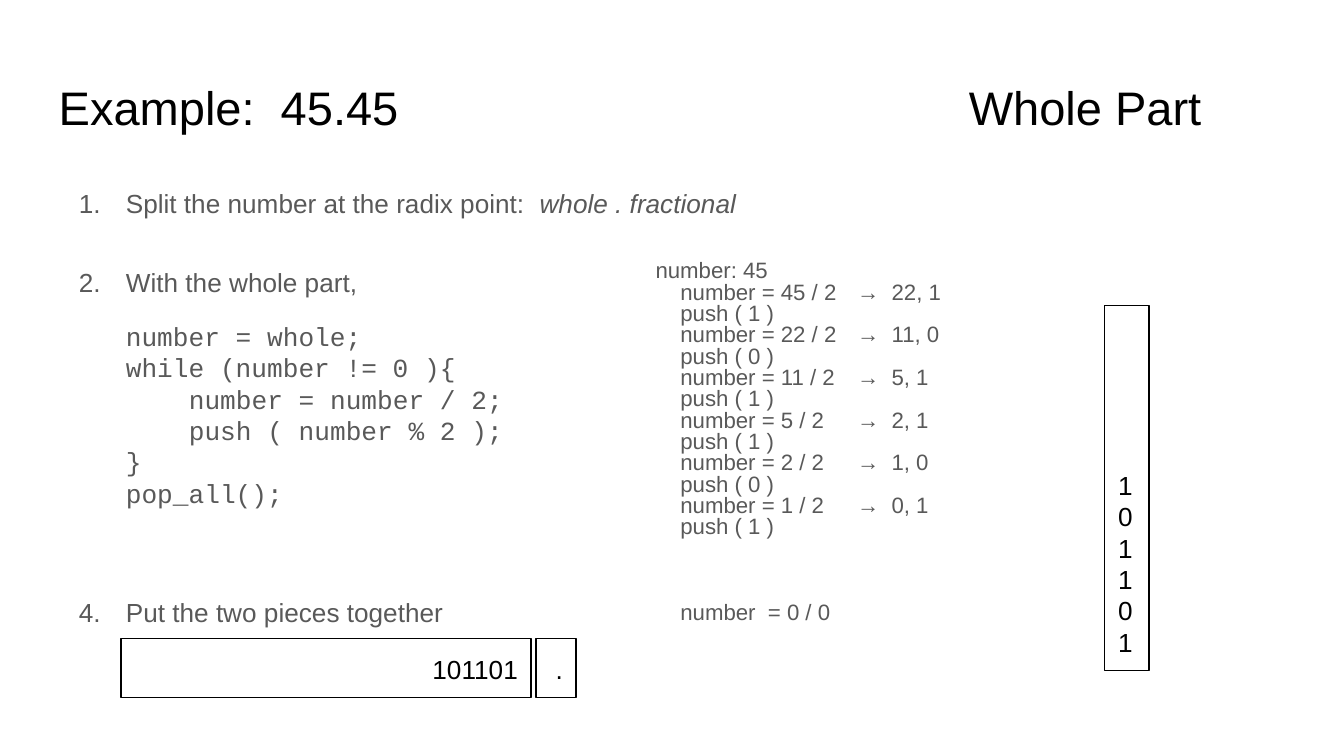
from dataclasses import dataclass

from lxml import etree
from pptx import Presentation
from pptx.dml.color import RGBColor
from pptx.enum.shapes import MSO_SHAPE
from pptx.enum.text import MSO_ANCHOR, PP_ALIGN
from pptx.oxml.ns import qn
from pptx.util import Cm, Pt

RECTANGLE = MSO_SHAPE.RECTANGLE
TOP, BOTTOM = MSO_ANCHOR.TOP, MSO_ANCHOR.BOTTOM
LEFT, RIGHT = PP_ALIGN.LEFT, PP_ALIGN.RIGHT


@dataclass(frozen=True)
class Theme:
    black: RGBColor = RGBColor(0x00, 0x00, 0x00)
    gray: RGBColor = RGBColor(0x59, 0x59, 0x59)
    sans: str = "Arial"
    mono: str = "Courier New"
    title: float = 25.2
    body: float = 14
    trace: float = 11.9
    outline: float = 0.75


THEME = Theme()


def apply_format(target, values):
    for name, value in values.items():
        setattr(target, name, value)


def format_frame(frame, anchor=TOP):
    margins = ("margin_left", "margin_top", "margin_right", "margin_bottom")
    apply_format(frame, {"word_wrap": True, "vertical_anchor": anchor})
    apply_format(frame, dict.fromkeys(margins, Cm(0.25)))


def add_text_box(page, left, top, width, height):
    box = page.shapes.add_textbox(Cm(left), Cm(top), Cm(width), Cm(height))
    format_frame(box.text_frame)
    return box.text_frame


def add_para(frame, **values):
    para = frame.paragraphs[0]
    if para.runs:
        para = frame.add_paragraph()
    apply_format(para, values)
    return para


def add_span(para, text, size, color=THEME.gray, name=THEME.sans, italic=False):
    span = para.add_run()
    span.text = text
    apply_format(span.font, {"size": Pt(size), "name": name, "italic": italic})
    span.font.color.rgb = color


def set_indent(para, left, first):
    properties = para._p.get_or_add_pPr()
    properties.set("marL", str(Cm(left)))
    properties.set("indent", str(Cm(first)))


def set_tab(para, position):
    tabs = etree.SubElement(para._p.get_or_add_pPr(), qn("a:tabLst"))
    etree.SubElement(tabs, qn("a:tab"), pos=str(Cm(position)), algn="l")


def add_step(frame, number, text, space_before=0):
    para = add_para(frame, line_spacing=1.15, space_before=Pt(space_before))
    set_indent(para, 1.27, -0.89)
    etree.SubElement(para._p.get_or_add_pPr(), qn("a:buAutoNum"),
                     type="arabicPeriod", startAt=str(number))
    add_span(para, text, THEME.body)
    return para


def add_code(frame, lines):
    for index, (depth, text) in enumerate(lines):
        para = add_para(frame, space_before=Pt(0 if index else 12))
        set_indent(para, 1.27, depth * 1.19)
        add_span(para, text, THEME.body, name=THEME.mono)


def add_trace_line(frame, text, indent=0.47, space_before=0):
    para = add_para(frame, line_spacing=0.8, space_before=Pt(space_before))
    set_indent(para, 0, indent)
    set_tab(para, 5.08)
    add_span(para, text, THEME.trace)


def add_trace(frame, number):
    add_trace_line(frame, f"number: {number}", indent=0)
    while number:
        quotient, remainder = divmod(number, 2)
        add_trace_line(frame, f"number = {number} / 2\t→  {quotient}, {remainder}")
        add_trace_line(frame, f"push ( {remainder} )")
        number = quotient
    add_trace_line(frame, "number  = 0 / 0", space_before=34.4)


def add_cell(page, text, left, top, width, height, alignment):
    cell = page.shapes.add_shape(RECTANGLE, Cm(left), Cm(top), Cm(width), Cm(height))
    cell.shadow.inherit = False
    cell.fill.background()
    cell.line.color.rgb = THEME.black
    cell.line.width = Pt(THEME.outline)
    format_frame(cell.text_frame, BOTTOM)
    para = add_para(cell.text_frame, alignment=alignment)
    add_span(para, text, THEME.body, THEME.black)


def main():
    deck = Presentation()
    apply_format(deck, {"slide_width": Cm(25.4), "slide_height": Cm(14.29)})
    page = deck.slides.add_slide(deck.slide_layouts[6])

    steps = add_text_box(page, 0.86, 3.2, 23.11, 9.5)
    split = add_step(steps, 1, "Split the number at the radix point:  ")
    add_span(split, "whole . fractional", THEME.body, italic=True)
    add_step(steps, 4, "Put the two pieces together", space_before=200)

    title = add_para(add_text_box(page, 0.86, 1.24, 23.67, 1.6))
    set_tab(title, 17.2)
    add_span(title, "Example:  45.45\tWhole Part", THEME.title, THEME.black)

    add_trace(add_text_box(page, 12.14, 4.7, 8.38, 7.57), 45)

    whole = add_text_box(page, 0.86, 4.7, 11.1, 7.57)
    add_step(whole, 2, "With the whole part,")
    add_code(whole, [
        (0, "number = whole;"),
        (0, "while (number != 0 ){"),
        (1, "number = number / 2;"),
        (1, "push ( number % 2 );"),
        (0, "}"),
        (0, "pop_all();"),
    ])

    digits = f"{45:b}"
    add_cell(page, digits, 20.88, 5.77, 0.84, 6.91, LEFT)
    add_cell(page, digits, 2.29, 12.07, 7.75, 1.12, RIGHT)
    add_cell(page, ".", 10.13, 12.07, 0.76, 1.12, RIGHT)

    deck.save("out.pptx")


if __name__ == "__main__":
    main()
